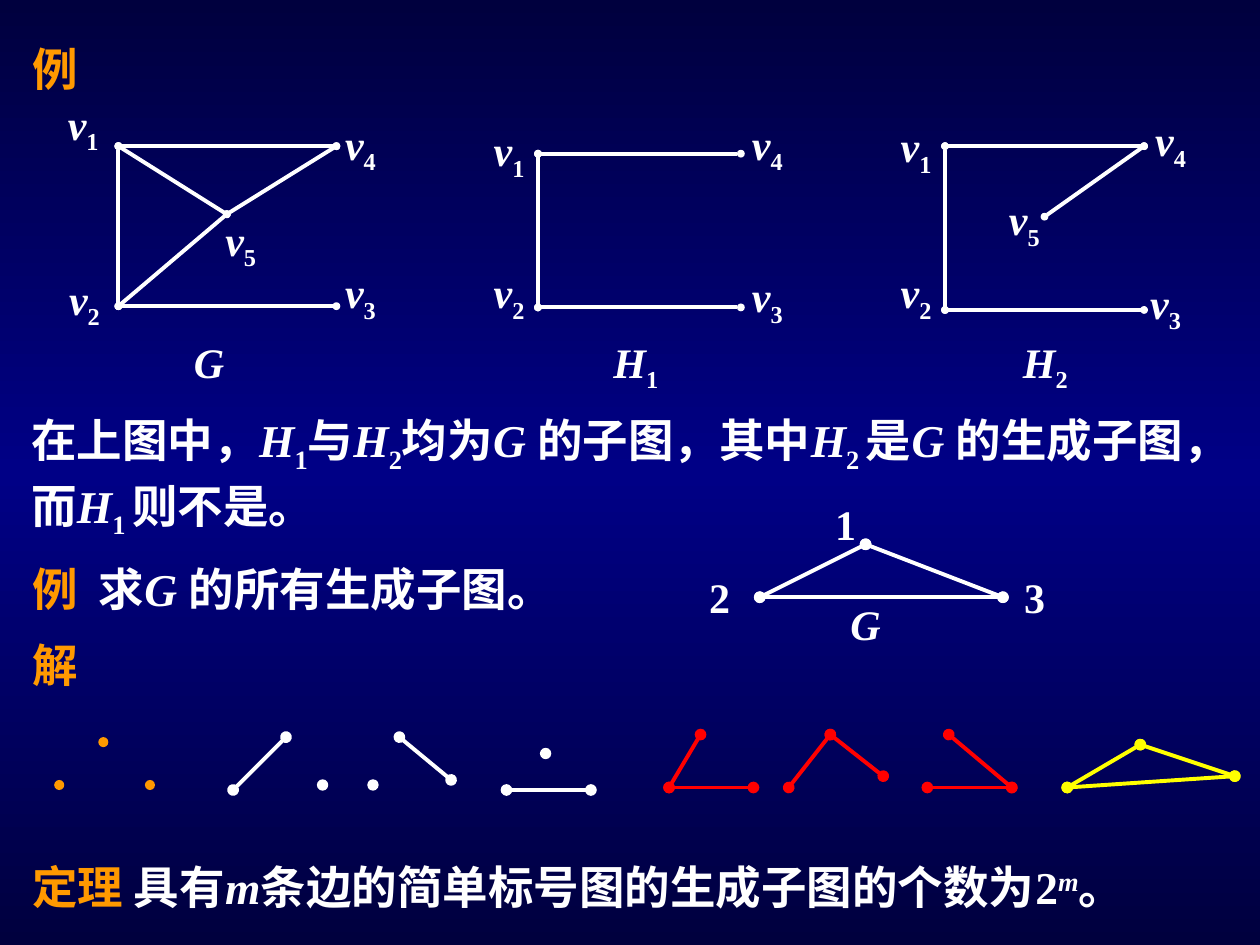
import copy
from dataclasses import dataclass

import lxml.etree
import pptx
import pptx.dml.color
import pptx.enum.dml
import pptx.enum.shapes
import pptx.enum.text
import pptx.oxml.ns
import pptx.util
from pptx.util import Inches


@dataclass(frozen=True)
class Theme:
    edge_dark: str = "00003E"
    middle_blue: str = "000086"
    white: str = "FFFFFF"
    orange: str = "FF9900"
    red: str = "FF0000"
    yellow: str = "FFFF00"
    latin: str = "Times New Roman"
    chinese: str = "Noto Sans CJK SC"
    body_size: float = 26
    label_size: float = 24
    edge_width: float = 2.25
    dot_line_width: float = 0.75
    dot_size: float = 0.08


THEME = Theme()
BASELINES = {"_": "-25000", "^": "30000"}
LABEL_WIDTH = 0.57

# name, caption runs, caption place, vertices, label places, edges
GRAPHS = [
    ([("G", "i")], (1.44, 2.62),
     {1: (0.94, 1.16), 2: (0.94, 2.43), 3: (2.67, 2.43), 4: (2.67, 1.16), 5: (1.8, 1.7)},
     {1: (0.44, 0.73), 2: (0.45, 2.12), 3: (2.64, 2.07), 4: (2.64, 0.89), 5: (1.69, 1.65)},
     [(2, 3), (1, 4), (2, 1), (2, 5), (5, 4), (1, 5)]),
    ([("H", "i"), ("1", "_")], (4.77, 2.62),
     {1: (4.27, 1.22), 2: (4.27, 2.44), 3: (5.88, 2.44), 4: (5.88, 1.22)},
     {1: (3.82, 0.94), 2: (3.82, 2.07), 3: (5.87, 2.1), 4: (5.87, 0.89)},
     [(2, 3), (1, 4), (2, 1)]),
    ([("H", "i"), ("2", "_")], (8.02, 2.62),
     {1: (7.5, 1.16), 2: (7.5, 2.46), 3: (9.08, 2.46), 4: (9.08, 1.16), 5: (8.29, 1.72)},
     {1: (7.05, 0.91), 2: (7.05, 2.07), 3: (9.03, 2.15), 4: (9.07, 0.86), 5: (7.91, 1.49)},
     [(2, 3), (1, 4), (2, 1), (5, 4)]),
]

# colour, edges, isolated vertices
SPANNING_SUBGRAPHS = [
    (THEME.orange, [], [(0.82, 5.89), (0.47, 6.23), (1.19, 6.23)]),
    (THEME.white, [(2.27, 5.85, 1.85, 6.27)], [(2.56, 6.23)]),
    (THEME.white, [(3.17, 5.85, 3.58, 6.19)], [(2.96, 6.23)]),
    (THEME.white, [(4.02, 6.27, 4.69, 6.27)], [(4.33, 5.98)]),
    (THEME.red, [(5.56, 5.83, 5.31, 6.25), (5.31, 6.25, 5.98, 6.25)], []),
    (THEME.red, [(6.59, 5.83, 6.26, 6.25), (6.59, 5.83, 7.01, 6.16)], []),
    (THEME.red, [(7.36, 6.25, 8.03, 6.25), (7.53, 5.83, 8.03, 6.25)], []),
    (THEME.yellow, [(9.05, 5.91, 8.47, 6.25), (9.05, 5.91, 9.8, 6.16),
                    (8.47, 6.25, 9.8, 6.16)], []),
]

# left, top, width, height, runs
# flags: i italic, _ subscript, ^ superscript, c Chinese font, o orange
STATEMENTS = [
    (0.16, 0.28, 2.8, 0.54, [("例", "o")]),
    (0.15, 3.2, 9.37, 1.14, [
        ("在上图中，", ""), ("H", "i"), ("1", "_"), ("与", ""), ("H", "i"), ("2", "_"),
        ("均为", "c"), ("G ", "i"), ("的子图，其中", "c"), ("H", "i"), ("2 ", "_"),
        ("是", ""), ("G ", "i"), ("的生成子图，而", ""), ("H", "i"), ("1 ", "_"),
        ("则不是。", "")]),
    (0.16, 4.4, 4.53, 0.54, [
        ("例  ", "o"), ("求", "c"), ("G ", "i"), ("的所有生成子图。", "c")]),
    (0.16, 5.01, 0.95, 0.54, [("解", "o")]),
    (0.16, 6.77, 9.37, 0.54, [
        ("定理", "co"), (" 具有", "c"), ("m", "i"),
        ("条边的简单标号图的生成子图的个数为", "c"), ("2", ""), ("m", "i^"), ("。", "c")]),
]


def rgb(colour):
    return pptx.dml.color.RGBColor.from_string(colour)


def paint_background(slide):
    fill = slide.background.fill
    fill.gradient()
    fill.gradient_angle = 90
    stop_list = slide.element.find(".//" + pptx.oxml.ns.qn("a:gsLst"))
    stop_list.insert(1, copy.deepcopy(stop_list[0]))
    colours = (THEME.edge_dark, THEME.middle_blue, THEME.edge_dark)
    for stop, position, colour in zip(fill.gradient_stops, (0, 0.5, 1), colours):
        stop.position = position
        stop.color.rgb = rgb(colour)


def add_text(shapes, left, top, width, height, runs, size, line_spacing=None):
    shape = shapes.add_textbox(Inches(left), Inches(top), Inches(width), Inches(height))
    frame = shape.text_frame
    frame.word_wrap = True
    frame.auto_size = pptx.enum.text.MSO_AUTO_SIZE.SHAPE_TO_FIT_TEXT
    paragraph = frame.paragraphs[0]
    paragraph.line_spacing = line_spacing
    for text, flags in runs:
        run = paragraph.add_run()
        run.text = text
        font = run.font
        font.size = pptx.util.Pt(size)
        font.bold = True
        font.italic = "i" in flags
        font.color.rgb = rgb(THEME.orange if "o" in flags else THEME.white)
        font.name = THEME.chinese if "c" in flags else THEME.latin
        properties = run._r.get_or_add_rPr()
        east_asian = lxml.etree.SubElement(properties, pptx.oxml.ns.qn("a:ea"))
        east_asian.set("typeface", THEME.chinese)
        for flag, baseline in BASELINES.items():
            if flag in flags:
                properties.set("baseline", baseline)


def add_edge(shapes, start, end, colour, dot="med"):
    connector = shapes.add_connector(
        pptx.enum.shapes.MSO_CONNECTOR.STRAIGHT, *map(Inches, (*start, *end)))
    connector.line.color.rgb = rgb(colour)
    connector.line.width = pptx.util.Pt(THEME.edge_width)
    line = connector.line._get_or_add_ln()
    for tag in ("a:headEnd", "a:tailEnd"):
        lxml.etree.SubElement(line, pptx.oxml.ns.qn(tag), type="oval", w=dot, len=dot)
    lxml.etree.SubElement(connector._element.spPr, pptx.oxml.ns.qn("a:effectLst"))


def add_vertex(shapes, centre, colour):
    size = THEME.dot_size
    shape = shapes.add_shape(
        pptx.enum.shapes.MSO_SHAPE.OVAL,
        *(Inches(value - size / 2) for value in centre), Inches(size), Inches(size))
    shape.shadow.inherit = False
    shape.fill.solid()
    shape.fill.fore_color.rgb = rgb(colour)
    if colour == THEME.white:
        shape.line.color.rgb = rgb(colour)
        shape.line.width = pptx.util.Pt(THEME.dot_line_width)
    else:
        shape.line.fill.background()


def add_graph(slide, caption, caption_place, vertices, label_places, edges):
    shapes = slide.shapes.add_group_shape().shapes
    for start, end in edges:
        add_edge(shapes, vertices[start], vertices[end], THEME.white, "sm")
    for number, place in label_places.items():
        add_text(shapes, *place, LABEL_WIDTH, 0.56,
                 [("v", "i"), (str(number), "_")], THEME.label_size)
    add_text(shapes, *caption_place, 0.8, 0.5, caption, THEME.label_size)


def add_triangle(slide):
    shapes = slide.shapes.add_group_shape().shapes
    top, left, right = (6.87, 4.32), (6.03, 4.74), (7.96, 4.74)
    for start, end in ((top, left), (top, right), (left, right)):
        add_edge(shapes, start, end, THEME.white)
    labels = (("1", "", 6.53, 3.91), ("2", "", 5.53, 4.49),
              ("3", "", 8.03, 4.49), ("G", "i", 6.65, 4.7))
    for text, flags, x, y in labels:
        add_text(shapes, x, y, 0.5, 0.5, [(text, flags)], THEME.label_size)


def add_subgraph(slide, colour, edges, isolated):
    shapes = slide.shapes.add_group_shape().shapes
    for edge in edges:
        add_edge(shapes, edge[:2], edge[2:], colour)
    for centre in isolated:
        add_vertex(shapes, centre, colour)


def main():
    presentation = pptx.Presentation()
    presentation.slide_width = Inches(10)
    presentation.slide_height = Inches(7.5)
    slide = presentation.slides.add_slide(presentation.slide_layouts[6])
    paint_background(slide)
    for statement in STATEMENTS:
        add_text(slide.shapes, *statement, THEME.body_size, 1.05 if statement[3] > 1 else None)
    for graph in GRAPHS:
        add_graph(slide, *graph)
    add_triangle(slide)
    for subgraph in SPANNING_SUBGRAPHS:
        add_subgraph(slide, *subgraph)
    presentation.save("out.pptx")


if __name__ == "__main__":
    main()
